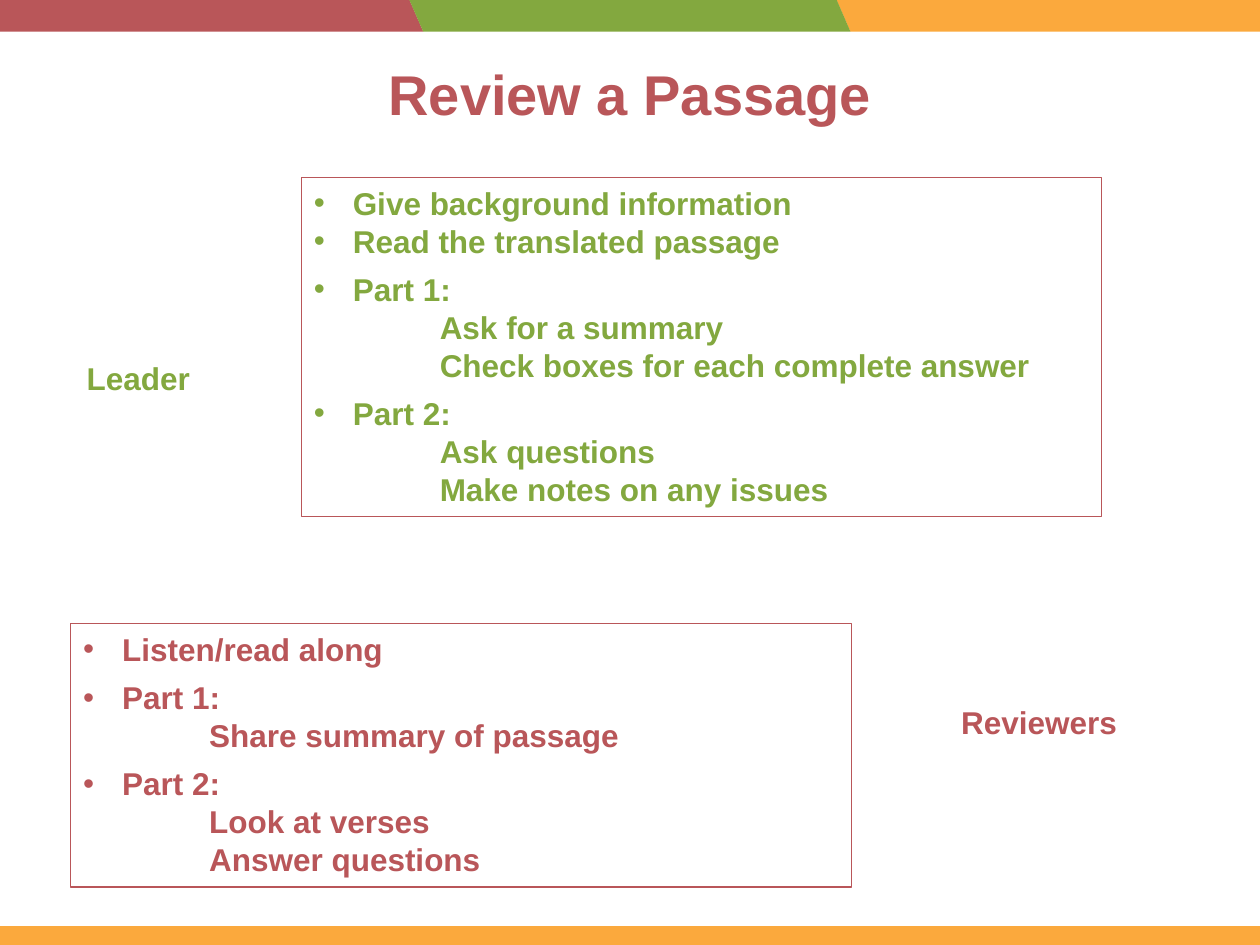
from dataclasses import dataclass

from lxml import etree
from pptx import Presentation
from pptx.dml.color import RGBColor
from pptx.enum.shapes import MSO_SHAPE
from pptx.enum.text import MSO_ANCHOR, MSO_AUTO_SIZE, PP_ALIGN
from pptx.oxml.ns import qn
from pptx.util import Inches, Pt

PARALLELOGRAM, RECTANGLE = MSO_SHAPE.PARALLELOGRAM, MSO_SHAPE.RECTANGLE
TOP, CENTER, LEFT = MSO_ANCHOR.TOP, PP_ALIGN.CENTER, PP_ALIGN.LEFT
NO_AUTOFIT = MSO_AUTO_SIZE.NONE
TWO_CONTENT = 3


@dataclass(frozen=True)
class Theme:
    """Colours, font and type sizes of the slide."""
    red: RGBColor = RGBColor.from_string("B95659")
    green: RGBColor = RGBColor.from_string("83A83F")
    orange: RGBColor = RGBColor.from_string("FBA93D")
    font: str = "Arial"
    title_size: Pt = Pt(32)
    text_size: Pt = Pt(18)
    outline: Pt = Pt(0.75)


THEME = Theme()

LEADER_TASKS = [
    ("Give background information", []),
    ("Read the translated passage", []),
    ("Part 1:", ["Ask for a summary", "Check boxes for each complete answer"]),
    ("Part 2:", ["Ask questions", "Make notes on any issues"]),
]
REVIEWER_TASKS = [
    ("Listen/read along", []),
    ("Part 1:", ["Share summary of passage"]),
    ("Part 2:", ["Look at verses", "Answer questions"]),
]


def place(shape, box):
    """Move a shape to a box of left, top, width and height in inches."""
    shape.left, shape.top, shape.width, shape.height = map(Inches, box)


def prepare_frame(frame):
    """Make a text frame wrap from the top without resizing."""
    frame.word_wrap = True
    frame.auto_size = NO_AUTOFIT
    frame.vertical_anchor = TOP


def add_text(paragraph, text, color, size):
    """Add one bold run in the theme font."""
    run = paragraph.add_run()
    run.text = text
    run.font.name, run.font.size, run.font.bold = THEME.font, size, True
    run.font.color.rgb = color


def add_band(slide, kind, box, color):
    """Add a plain coloured band."""
    band = slide.shapes.add_shape(kind, *map(Inches, box))
    band.shadow.inherit = False
    band.fill.solid()
    band.fill.fore_color.rgb = color
    band.line.fill.background()
    return band


def add_header(slide, box):
    """Add three slanted bands at equal steps from the box's left edge."""
    left, top, width, height = box
    step = 3.39
    for index, color in ((2, THEME.orange), (0, THEME.red), (1, THEME.green)):
        band = add_band(slide, PARALLELOGRAM, (left + index * step, top, width, height), color)
        band.adjustments[0] = 0.436
        band.element.spPr.xfrm.set("flipH", "1")


def fill_title(title, box, text):
    """Write the centred slide title."""
    place(title, box)
    prepare_frame(title.text_frame)
    heading = title.text_frame.paragraphs[0]
    heading.alignment = CENTER
    add_text(heading, text, THEME.red, THEME.title_size)


def format_item(paragraph, margin, indent, bullet=None):
    """Set the indents of a list item and its bullet, if any."""
    properties = paragraph._p.get_or_add_pPr()
    properties.set("marL", str(Inches(margin)))
    properties.set("indent", str(Inches(indent)))
    if bullet:
        etree.SubElement(properties, qn("a:buFont")).set("typeface", THEME.font)
        etree.SubElement(properties, qn("a:buChar")).set("char", bullet)
    else:
        etree.SubElement(properties, qn("a:buNone"))
    paragraph.alignment = LEFT
    paragraph.space_before = Pt(0)


def fill_tasks(body, box, tasks, color):
    """Write an outlined list of tasks with indented steps."""
    place(body, box)
    body.fill.background()
    body.line.color.rgb = THEME.red
    body.line.width = THEME.outline
    frame = body.text_frame
    prepare_frame(frame)
    for index, (task, steps) in enumerate(tasks):
        item = frame.add_paragraph() if index else frame.paragraphs[0]
        format_item(item, 0.31, -0.31, "•")
        if steps:
            item.space_before = Pt(6)
        add_text(item, task, color, THEME.text_size)
        for step in steps:
            detail = frame.add_paragraph()
            detail.level = 2
            format_item(detail, 1, 0)
            add_text(detail, step, color, THEME.text_size)


def add_role(slide, box, role, color):
    """Add the label of a role."""
    frame = slide.shapes.add_textbox(*map(Inches, box)).text_frame
    prepare_frame(frame)
    add_text(frame.paragraphs[0], role, color, THEME.text_size)


def main():
    """Build and save the slide."""
    deck = Presentation()
    deck.slide_width, deck.slide_height = Inches(10), Inches(7.5)
    slide = deck.slides.add_slide(deck.slide_layouts[TWO_CONTENT])
    title, leader, reviewers = slide.placeholders
    add_header(slide, (-0.14, 0, 3.5, 0.25))
    add_band(slide, RECTANGLE, (0, 7.35, 10, 0.15), THEME.orange)
    fill_title(title, (0.69, 0.42, 8.62, 1.45), "Review a Passage")
    fill_tasks(leader, (2.39, 1.41, 6.35, 2.69), LEADER_TASKS, THEME.green)
    fill_tasks(reviewers, (0.56, 4.95, 6.2, 2.09), REVIEWER_TASKS, THEME.red)
    add_role(slide, (0.59, 2.8, 1.17, 0.4), "Leader", THEME.green)
    add_role(slide, (7.53, 5.53, 1.52, 0.4), "Reviewers", THEME.red)
    deck.save("out.pptx")


if __name__ == "__main__":
    main()
